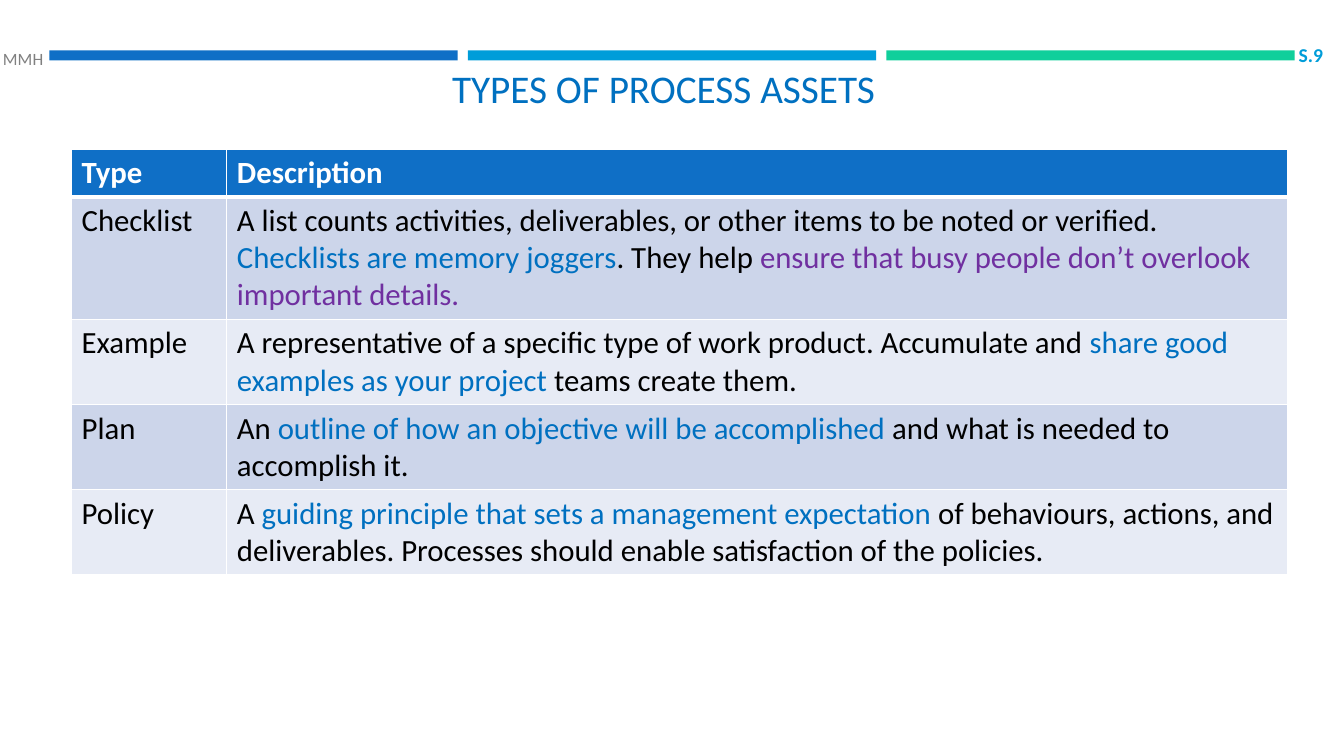
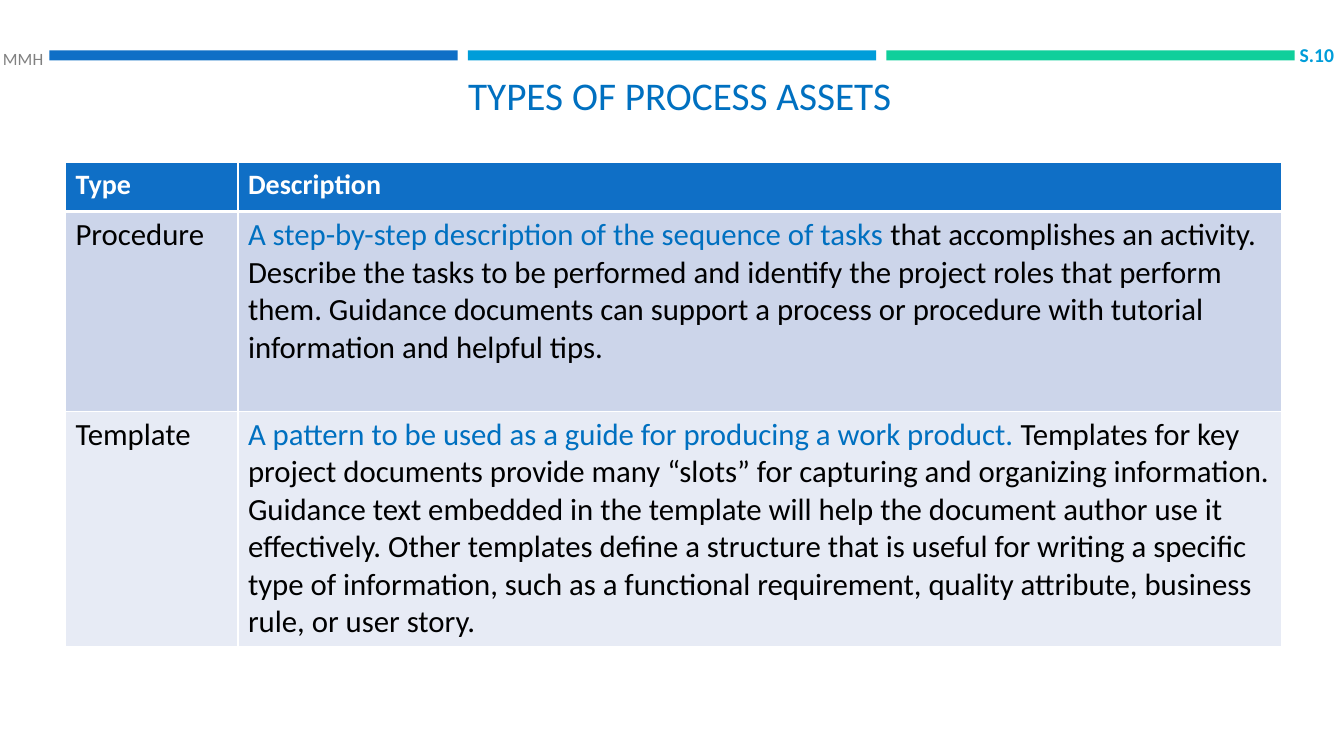
import lxml.etree
import pptx
import pptx.dml.color
import pptx.enum.shapes
import pptx.enum.text
import pptx.oxml.ns
import pptx.util

SLIDE_WIDTH, SLIDE_HEIGHT = 13.33, 7.5
BLUE, SKY, GREEN = "0F6FC6", "009DD9", "10CF9B"
ACCENT, PURPLE, GREY = "0070C0", "7030A0", "808080"
WHITE, BLACK = "FFFFFF", "000000"
ROW_FILLS = ["CCD5EA", "E7EBF5"]
BAR_LEFT, BAR_TOP, BAR_WIDTH, BAR_HEIGHT, BAR_GAP = 0.49, 0.5, 4.05, 0.1, 0.1
CONTENT_WIDTH = 12.06

TITLE_FONT = {"name": "Calibri", "size": pptx.util.Pt(28), "bold": False}
BODY_FONT = {"name": "Calibri", "size": pptx.util.Pt(22), "bold": False}
AUTHOR_FONT = {"name": "Calibri", "size": pptx.util.Pt(12.3), "bold": False}
NUMBER_FONT = {"name": "Calibri", "size": pptx.util.Pt(14), "bold": True}

SLIDES = [
    {
        "title": "TYPES OF PROCESS ASSETS",
        "title_box": (0.55, 0.56, CONTENT_WIDTH, 0.6),
        "number": "S.9",
        "number_left": 12.69,
        "table_at": (0.71, 1.48),
        "first_column": 1.54,
        "row_heights": [0.46, 1.22, 0.84, 0.84, 0.84],
        "header_size": 22,
        "rows": [
            ("Checklist", [
                ("A list counts activities, deliverables, or other items to be noted or verified. ", BLACK),
                ("Checklists are memory joggers", ACCENT),
                (". They help ", BLACK),
                ("ensure that busy people don’t overlook important details.", PURPLE)]),
            ("Example", [
                ("A representative of a specific type of work product. Accumulate and ", BLACK),
                ("share good examples as your project", ACCENT),
                (" teams create them.", BLACK)]),
            ("Plan", [
                ("An ", BLACK),
                ("outline of how an objective will be accomplished ", ACCENT),
                ("and what is needed to accomplish it.", BLACK)]),
            ("Policy", [
                ("A ", BLACK),
                ("guiding principle that sets a management expectation", ACCENT),
                (" of behaviours, actions, and deliverables. Processes should enable "
                 "satisfaction of the policies.", BLACK)]),
        ],
    },
    {
        "title": "TYPES OF PROCESS ASSETS",
        "title_box": (0.71, 0.57, CONTENT_WIDTH, 0.65),
        "number": "S.10",
        "number_left": 12.8,
        "table_at": (0.65, 1.61),
        "first_column": 1.71,
        "row_heights": [0.49, 1.98, 2.3],
        "header_size": 20,
        "rows": [
            ("Procedure", [
                ("A step-by-step description of the sequence of tasks ", ACCENT),
                ("that accomplishes an activity. Describe the tasks to be performed and identify "
                 "the project roles that perform them. Guidance documents can support a process "
                 "or procedure with tutorial information and helpful tips.", BLACK)]),
            ("Template", [
                ("A pattern to be used as a guide for producing a work product. ", ACCENT),
                ("Templates for key project documents provide many “slots” for capturing and "
                 "organizing information. Guidance text embedded in the template will help the "
                 "document author use it effectively. Other templates define a structure that is "
                 "useful for writing a specific type of information, such as a functional "
                 "requirement, quality attribute, business rule, or user story.", BLACK)]),
        ],
    },
]


def color(value):
    """Return the colour for a hex string."""
    return pptx.dml.color.RGBColor.from_string(value)


def inches(*lengths):
    """Convert lengths in inches to a list of slide units."""
    return [pptx.util.Inches(length) for length in lengths]


def apply_format(target, values):
    """Set each named attribute of the target."""
    for name, value in values.items():
        setattr(target, name, value)


def write_runs(text_frame, runs, font, alignment=pptx.enum.text.PP_ALIGN.LEFT):
    """Write coloured runs into the first paragraph of a text frame."""
    paragraph = text_frame.paragraphs[0]
    paragraph.alignment = alignment
    for text, value in runs:
        run = paragraph.add_run()
        run.text = text
        apply_format(run.font, font)
        run.font.color.rgb = color(value)


def add_bars(slide, layout):
    """Place the three coloured bars on the shared layout."""
    for index, value in enumerate([BLUE, SKY, GREEN]):
        left = BAR_LEFT + index * (BAR_WIDTH + BAR_GAP)
        shape = slide.shapes.add_shape(
            pptx.enum.shapes.MSO_SHAPE.RECTANGLE,
            *inches(left, BAR_TOP, BAR_WIDTH, BAR_HEIGHT))
        shape.name = f"Bar {index + 1}"
        shape.shadow.inherit = False
        shape.fill.solid()
        shape.fill.fore_color.rgb = color(value)
        shape.line.fill.background()
        layout.element.cSld.spTree.insert(2 + index, shape.element)


def add_title(slide, text, box):
    """Fill and place the title placeholder."""
    title = slide.shapes.title
    apply_format(title, dict(zip(("left", "top", "width", "height"), inches(*box))))
    apply_format(title.text_frame, {
        "word_wrap": True,
        "auto_size": pptx.enum.text.MSO_AUTO_SIZE.NONE,
        "vertical_anchor": pptx.enum.text.MSO_ANCHOR.BOTTOM})
    write_runs(title.text_frame, [(text, ACCENT)], TITLE_FONT, pptx.enum.text.PP_ALIGN.CENTER)


def add_label(slide, box, run, font, margins, alignment):
    """Add a one-line label beside the bars."""
    text_frame = slide.shapes.add_textbox(*inches(*box)).text_frame
    left, right = inches(*margins)
    apply_format(text_frame, {
        "word_wrap": True, "margin_left": left, "margin_right": right,
        "margin_top": 0, "margin_bottom": 0,
        "vertical_anchor": pptx.enum.text.MSO_ANCHOR.MIDDLE})
    write_runs(text_frame, [run], font, alignment)


def set_borders(cell, widths):
    """Draw white cell borders with the given side widths in points."""
    properties = cell._tc.get_or_add_tcPr()
    for side, width in widths.items():
        line = lxml.etree.SubElement(
            properties, pptx.oxml.ns.qn(f"a:ln{side}"), w=str(pptx.util.Pt(width)))
        fill = lxml.etree.SubElement(line, pptx.oxml.ns.qn("a:solidFill"))
        lxml.etree.SubElement(fill, pptx.oxml.ns.qn("a:srgbClr"), val=WHITE)


def fill_cell(cell, runs, font, value, widths):
    """Write a cell and give it borders and a fill."""
    write_runs(cell.text_frame, runs, font)
    set_borders(cell, widths)
    cell.fill.solid()
    cell.fill.fore_color.rgb = color(value)


def add_asset_table(slide, content):
    """Add the table of asset types and descriptions."""
    heights = content["row_heights"]
    frame = slide.shapes.add_table(
        len(heights), 2, *inches(*content["table_at"], CONTENT_WIDTH, sum(heights)))
    table = frame.table
    first = content["first_column"]
    for column, width in zip(table.columns, inches(first, CONTENT_WIDTH - first)):
        column.width = width
    for row, height in zip(table.rows, inches(*heights)):
        row.height = height
    header_font = {**BODY_FONT, "size": pptx.util.Pt(content["header_size"]), "bold": True}
    for column, text in enumerate(["Type", "Description"]):
        fill_cell(table.cell(0, column), [(text, WHITE)], header_font, BLUE,
                  {"L": 1, "R": 1, "T": 1, "B": 3})
    for index, (kind, description) in enumerate(content["rows"]):
        widths = {"L": 1, "R": 1, "T": 1 if index else 3, "B": 1}
        for column, runs in enumerate([[(kind, BLACK)], description]):
            fill_cell(table.cell(index + 1, column), runs, BODY_FONT,
                      ROW_FILLS[index % 2], widths)


def add_slide(presentation, layout, content):
    """Build one slide from its content."""
    slide = presentation.slides.add_slide(layout)
    add_title(slide, content["title"], content["title_box"])
    add_asset_table(slide, content)
    add_label(slide, (0, 0.43, 0.5, 0.3), ("MMH", GREY), AUTHOR_FONT,
              (0.03, 0), pptx.enum.text.PP_ALIGN.LEFT)
    add_label(slide, (content["number_left"], 0.43, 0.53, 0.22), (content["number"], SKY),
              NUMBER_FONT, (0, 0.1), pptx.enum.text.PP_ALIGN.RIGHT)
    return slide


def main():
    """Build and save the presentation."""
    presentation = pptx.Presentation()
    width, height = inches(SLIDE_WIDTH, SLIDE_HEIGHT)
    apply_format(presentation, {"slide_width": width, "slide_height": height})
    layout = presentation.slide_layouts.get_by_name("Title Only")
    slides = [add_slide(presentation, layout, content) for content in SLIDES]
    add_bars(slides[0], layout)
    presentation.save("out.pptx")


if __name__ == "__main__":
    main()
